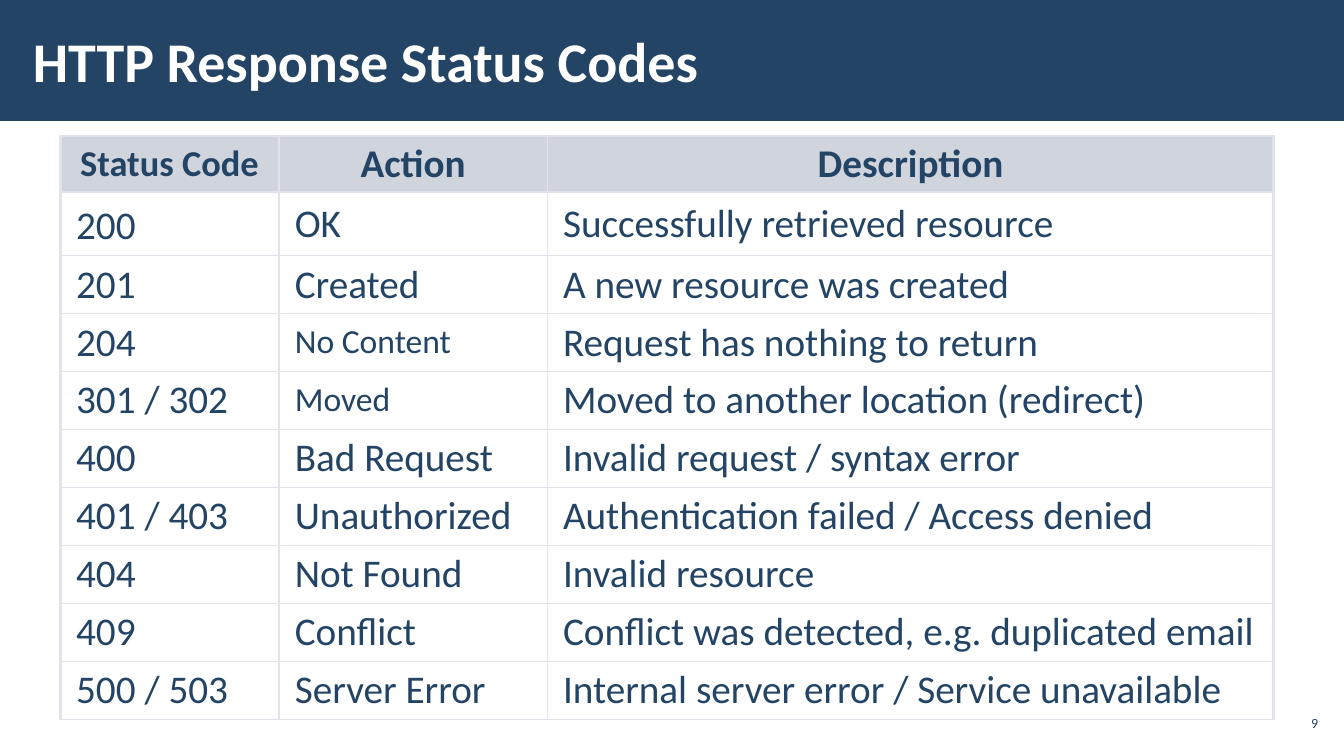
from lxml import etree
from pptx import Presentation
from pptx.dml.color import RGBColor
from pptx.enum.shapes import MSO_SHAPE
from pptx.enum.text import MSO_ANCHOR, MSO_AUTO_SIZE, PP_ALIGN
from pptx.oxml.ns import qn
from pptx.util import Cm, Pt

NAVY = RGBColor(0x23, 0x44, 0x65)
WHITE = RGBColor(0xFF, 0xFF, 0xFF)
HEADER_GREY = RGBColor(0xA3, 0xAB, 0xBC)
RULE_GREY = RGBColor(0xE0, 0xE3, 0xE9)
LEFT, CENTER, RIGHT = PP_ALIGN.LEFT, PP_ALIGN.CENTER, PP_ALIGN.RIGHT
MIDDLE = MSO_ANCHOR.MIDDLE
NO_AUTOFIT = MSO_AUTO_SIZE.NONE
RECTANGLE = MSO_SHAPE.RECTANGLE
TITLE_ONLY = 5

THIN, THICK = Pt(1), Pt(2.25)
BODY_SIZE, SMALL_SIZE = 28, 24
COLUMN_WIDTHS = (5.51, 6.76, 18.31)
HEADER_HEIGHT, FIRST_HEIGHT, ROW_HEIGHT = 1.41, 1.59, 1.46
HEADINGS = ("Status Code", "Action", "Description")
STATUS_CODES = (
    ("200", "OK", "Successfully retrieved resource"),
    ("201", "Created", "A new resource was created"),
    ("204", "No Content", "Request has nothing to return"),
    ("301 / 302", "Moved", "Moved to another location (redirect)"),
    ("400", "Bad Request", "Invalid request / syntax error"),
    ("401 / 403", "Unauthorized", "Authentication failed / Access denied"),
    ("404", "Not Found", "Invalid resource"),
    ("409", "Conflict", "Conflict was detected, e.g. duplicated email"),
    ("500 / 503", "Server Error", "Internal server error / Service unavailable"),
)
# Cells whose format differs from the rest of the table
SPECIAL_FORMATS = {
    "Status Code": {"size": 26},
    "200": {"spacing": Pt(38)},
    "No Content": {"size": SMALL_SIZE},
    "Moved": {"size": SMALL_SIZE},
}


def write(frame, text, size=BODY_SIZE, color=NAVY, bold=False, align=LEFT, spacing=1.0):
    paragraph = frame.paragraphs[0]
    paragraph.alignment = align
    paragraph.line_spacing = spacing
    paragraph.space_before = Pt(0)
    run = paragraph.add_run()
    run.text = text
    run.font.name = "Calibri"
    run.font.size = Pt(size)
    run.font.bold = bold
    run.font.color.rgb = color


def set_insets(holder, horizontal, vertical):
    holder.margin_left = holder.margin_right = Cm(horizontal)
    holder.margin_top = holder.margin_bottom = Cm(vertical)


def set_borders(cell, **widths):
    """Rule the cell; the keywords are L, R, T and B, in that order."""
    properties = cell._tc.get_or_add_tcPr()
    for side, width in widths.items():
        line = etree.SubElement(properties, qn(f"a:ln{side}"), w=str(width))
        fill = etree.SubElement(line, qn("a:solidFill"))
        etree.SubElement(fill, qn("a:srgbClr"), val=str(RULE_GREY))


def fill_header(cell):
    """Fill the cell with half-transparent grey."""
    cell.fill.solid()
    cell.fill.fore_color.rgb = HEADER_GREY
    color = cell._tc.tcPr.find(".//" + qn("a:solidFill") + "[last()]/" + qn("a:srgbClr")
                               + f"[@val='{HEADER_GREY}']")
    etree.SubElement(color, qn("a:alpha"), val="50000")


class StatusSlide:
    def __init__(self, presentation):
        self.slide = presentation.slides.add_slide(presentation.slide_layouts[TITLE_ONLY])
        self.shapes = self.slide.shapes

    def band(self, width, height):
        band = self.shapes.add_shape(RECTANGLE, 0, 0, width, Cm(height))
        band.shadow.inherit = False
        band.fill.solid()
        band.fill.fore_color.rgb = NAVY
        band.line.fill.background()
        # Place the band behind the title
        self.shapes.title._element.addprevious(band._element)

    def title(self, text, left, top, width, height):
        title = self.shapes.title
        title.left, title.top, title.width, title.height = map(Cm, (left, top, width, height))
        frame = title.text_frame
        frame.auto_size = NO_AUTOFIT
        frame.vertical_anchor = MIDDLE
        set_insets(frame, 0.3, 0.1)
        write(frame, text, size=40, color=WHITE, bold=True)

    def page_number(self, text, left, top, width, height):
        frame = self.shapes.add_textbox(*map(Cm, (left, top, width, height))).text_frame
        frame.word_wrap = True
        frame.vertical_anchor = MIDDLE
        set_insets(frame, 0.1, 0.1)
        write(frame, text, size=10, align=RIGHT)

    def table(self, left, top):
        rows = (HEADINGS,) + STATUS_CODES
        heights = [HEADER_HEIGHT, FIRST_HEIGHT] + [ROW_HEIGHT] * (len(rows) - 2)
        table = self.shapes.add_table(len(rows), len(HEADINGS), Cm(left), Cm(top),
                                      Cm(sum(COLUMN_WIDTHS)), Cm(sum(heights))).table
        table.horz_banding = False
        for column, width in zip(table.columns, COLUMN_WIDTHS):
            column.width = Cm(width)
        for r, (texts, height) in enumerate(zip(rows, heights)):
            table.rows[r].height = Cm(height)
            for c, text in enumerate(texts):
                self.cell(table.cell(r, c), text, r, c)

    def cell(self, cell, text, r, c):
        header = r == 0
        cell.vertical_anchor = MIDDLE
        set_insets(cell, 0.4, 0.13)
        set_borders(cell,
                    L=THICK if c == 0 else THIN,
                    R=THICK if c == len(HEADINGS) - 1 else THIN,
                    T=THICK if r <= 1 else THIN,
                    B=THICK if header else THIN)
        text_format = {"bold": True, "align": CENTER, "spacing": 0.95} if header else {}
        write(cell.text_frame, text, **{**text_format, **SPECIAL_FORMATS.get(text, {})})
        if header:
            fill_header(cell)
        else:
            cell.fill.background()


def main():
    presentation = Presentation()
    presentation.slide_width, presentation.slide_height = Cm(33.87), Cm(19.05)
    slide = StatusSlide(presentation)
    slide.band(presentation.slide_width, 3.05)
    slide.title("HTTP Response Status Codes", 0.53, 0.28, 26.39, 2.46)
    slide.page_number("9", 32.13, 17.78, 1.19, 0.86)
    slide.table(1.52, 3.43)
    presentation.save("out.pptx")


if __name__ == "__main__":
    main()
